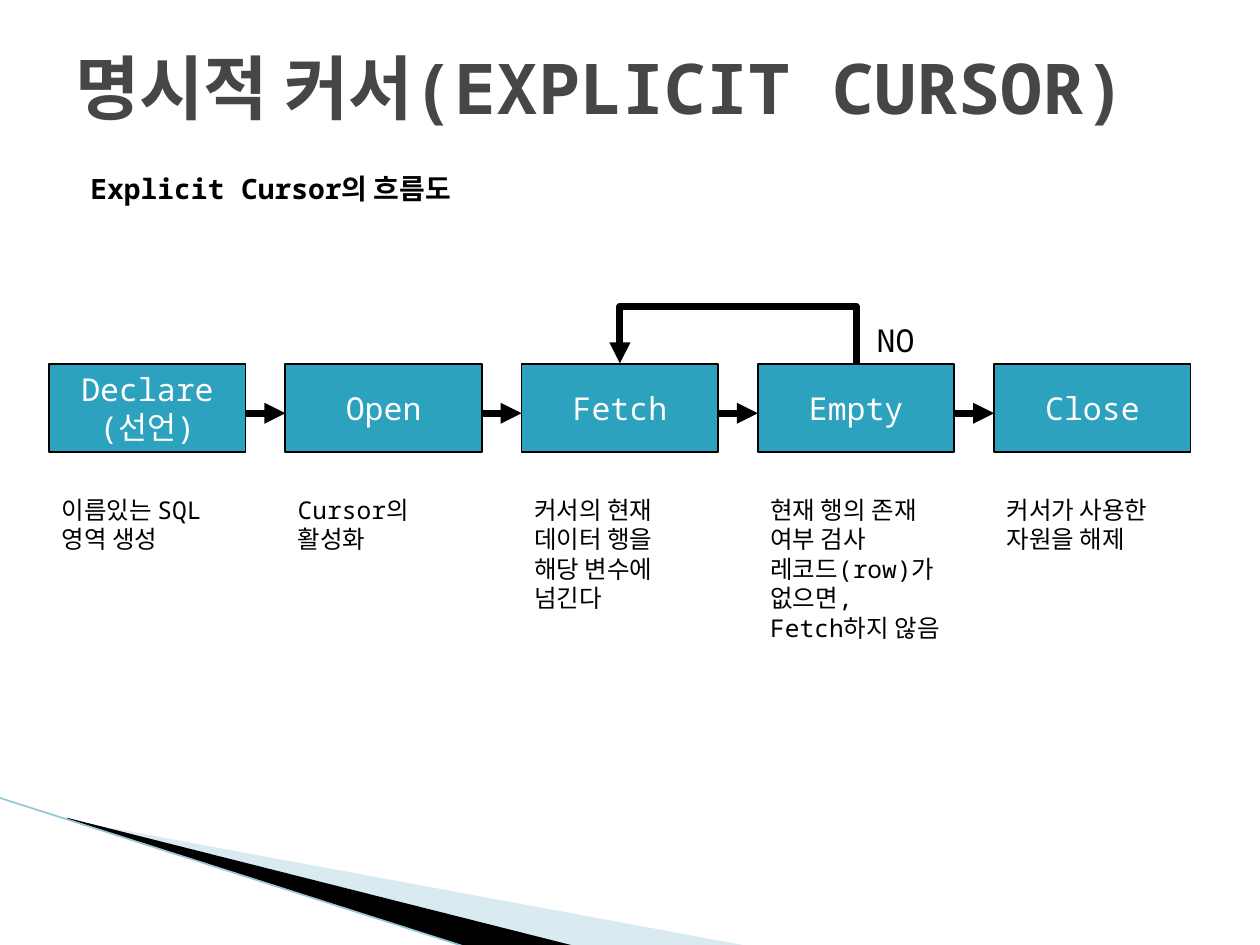
from dataclasses import dataclass

from lxml import etree
from pptx import Presentation
from pptx.dml.color import RGBColor
from pptx.enum.shapes import MSO_CONNECTOR, MSO_SHAPE
from pptx.enum.text import MSO_ANCHOR, PP_ALIGN
from pptx.oxml.ns import qn
from pptx.util import Inches, Pt

FONT = "Noto Sans Mono"
BLACK, WHITE, GREY, TEAL = "000000", "FFFFFF", "464646", "2DA2BF"
LEFT, PITCH, BOX_W = 0.39, 1.875, 1.56
BOX_TOP, BOX_H, ARROW_Y = 2.89, 0.7, 3.28
NOTE_TOP, LINE_H = 3.88, 0.235
LOOP_RISE, LOOP_W = 0.47, 0.01


@dataclass
class Step:
    label: str
    note: str


@dataclass
class Wedge:
    points: list
    color: str
    alpha: int


STEPS = [
    Step("Declare\n(선언)", "이름있는 SQL\n영역 생성"),
    Step("Open", "Cursor의\n활성화"),
    Step("Fetch", "커서의 현재\n데이터 행을\n해당 변수에\n넘긴다"),
    Step("Empty", "현재 행의 존재\n여부 검사\n레코드(row)가\n없으면,\nFetch하지 않음"),
    Step("Close", "커서가 사용한\n자원을 해제"),
]

WEDGES = [
    Wedge([(0.55, 6.51), (5.95, 7.51), (4.56, 7.51), (0.55, 6.5)], "A0CBDC", 40),
    Wedge([(0.53, 6.49), (4.57, 7.51), (3.72, 7.52), (0.54, 6.5)], BLACK, 100),
]


def rgb(color: str) -> RGBColor:
    return RGBColor.from_string(color)


def write(s, text: str, size: float, color: str, bold=False, align=PP_ALIGN.LEFT,
          anchor=MSO_ANCHOR.TOP) -> None:
    tf = s.text_frame
    tf.word_wrap = True
    tf.vertical_anchor = anchor
    tf.text = text
    for p in tf.paragraphs:
        p.alignment = align
        p.font.name = FONT
        p.font.size = Pt(size)
        p.font.bold = bold
        p.font.color.rgb = rgb(color)


def add_text(left: float, top: float, width: float, height: float, text: str,
             size: float, color: str = BLACK, **style):
    s = shapes.add_textbox(Inches(left), Inches(top), Inches(width), Inches(height))
    write(s, text, size, color, **style)
    return s


def add_box(left: float, label: str):
    s = shapes.add_shape(MSO_SHAPE.RECTANGLE, Inches(left), Inches(BOX_TOP),
                         Inches(BOX_W), Inches(BOX_H))
    s.shadow.inherit = False
    s.fill.solid()
    s.fill.fore_color.rgb = rgb(TEAL)
    s.line.color.rgb = rgb(BLACK)
    s.line.width = Pt(1)
    write(s, label, 18, WHITE, align=PP_ALIGN.CENTER, anchor=MSO_ANCHOR.MIDDLE)
    return s


def add_line(x1: float, y1: float, x2: float, y2: float, color: str, width: float,
             arrow=False, kind=MSO_CONNECTOR.STRAIGHT):
    s = shapes.add_connector(kind, Inches(x1), Inches(y1), Inches(x2), Inches(y2))
    s.line.color.rgb = rgb(color)
    s.line.width = Pt(width)
    if arrow:
        etree.SubElement(s.line._get_or_add_ln(), qn("a:tailEnd"), type="triangle")
    etree.SubElement(s._element.spPr, qn("a:effectLst"))
    return s


def add_loop(source, target) -> None:
    s = add_line(0, 0, 1, 1, BLACK, 4, True, MSO_CONNECTOR.ELBOW)
    s.begin_connect(source, 0)
    s.end_connect(target, 0)
    span = source.left - target.left
    s.width, s.height = Inches(LOOP_W), span
    s.left = target.left + (target.width + span - s.width) // 2
    s.top = target.top - span // 2
    xfrm = s._element.spPr.find(qn("a:xfrm"))
    xfrm.attrib.pop("flipH", None)
    xfrm.set("rot", str(270 * 60000))
    xfrm.set("flipV", "1")
    geom = s._element.spPr.find(qn("a:prstGeom"))
    av = geom.find(qn("a:avLst"))
    if av is None:
        av = etree.SubElement(geom, qn("a:avLst"))
    ratio = round(LOOP_RISE / LOOP_W * 100000)
    etree.SubElement(av, qn("a:gd"), name="adj1", fmla=f"val {ratio}")


def add_wedge(wedge: Wedge) -> None:
    first, *rest = [(Inches(x), Inches(y)) for x, y in wedge.points]
    builder = shapes.build_freeform(*first)
    builder.add_line_segments(rest, close=True)
    s = builder.convert_to_shape()
    s.shadow.inherit = False
    s.fill.solid()
    s.fill.fore_color.rgb = rgb(wedge.color)
    s.line.fill.background()
    if wedge.alpha < 100:
        clr = s._element.spPr.find(qn("a:solidFill")).find(qn("a:srgbClr"))
        etree.SubElement(clr, qn("a:alpha"), val=str(wedge.alpha * 1000))


prs = Presentation()
prs.slide_width, prs.slide_height = Inches(10), Inches(7.5)
shapes = prs.slides.add_slide(prs.slide_layouts[6]).shapes

for wedge in WEDGES:
    add_wedge(wedge)
add_line(-0.01, 6.33, 3.71, 7.52, "97C5D8", 0.95)

subtitle = add_text(0.5, 1.31, 9, 5.83, "Explicit Cursor의 흐름도", 16, bold=True)
p = subtitle.text_frame.paragraphs[0]
p.space_before = Pt(4)
pPr = p._p.get_or_add_pPr()
pPr.set("marL", str(Inches(0.4)))
pPr.set("indent", str(Inches(-0.28)))
add_text(0.5, 0.3, 9, 0.77, "명시적 커서(EXPLICIT CURSOR)", 40, GREY, bold=True,
         anchor=MSO_ANCHOR.MIDDLE)

boxes = {}
for i, step in enumerate(STEPS):
    left = LEFT + i * PITCH
    boxes[step.label] = add_box(left, step.label)
    if i:
        add_line(left - PITCH + BOX_W, ARROW_Y, left, ARROW_Y, BLACK, 4, True)
    lines = step.note.count("\n") + 1
    add_text(left, NOTE_TOP, BOX_W, 0.1 + lines * LINE_H, step.note, 14)

add_loop(boxes["Empty"], boxes["Fetch"])
add_text(6.86, 2.5, 1.25, 0.4, "NO", 18)

prs.save("out.pptx")
